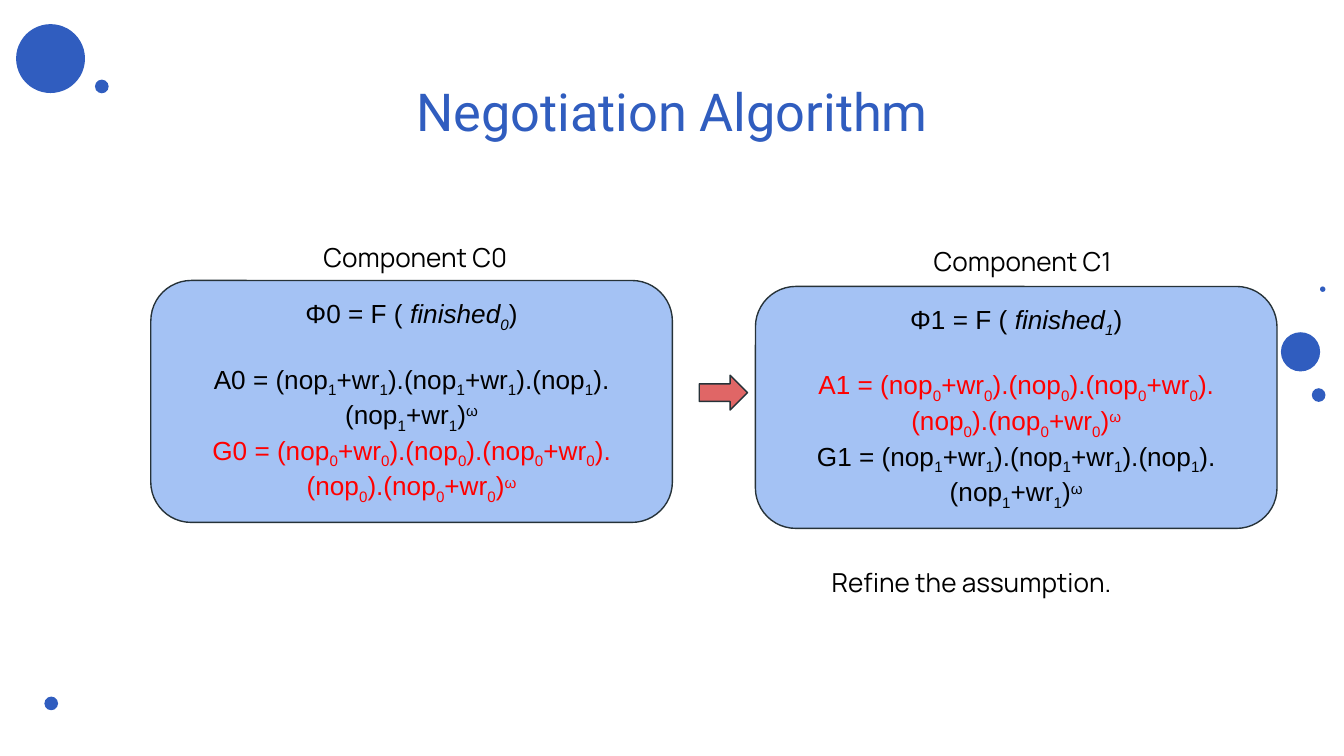
from pptx import Presentation
from pptx.dml.color import RGBColor
from pptx.enum.shapes import MSO_SHAPE
from pptx.enum.text import MSO_ANCHOR, PP_ALIGN
from pptx.util import Pt

ELLIPSE = MSO_SHAPE.OVAL
CARD = MSO_SHAPE.ROUNDED_RECTANGLE
ARROW = MSO_SHAPE.RIGHT_ARROW
CENTER, LEFT = PP_ALIGN.CENTER, PP_ALIGN.LEFT
TOP, MIDDLE = MSO_ANCHOR.TOP, MSO_ANCHOR.MIDDLE

COLORS = {
    "blue": "305DBF",
    "card": "A4C2F4",
    "arrow": "E06666",
    "outline": "263238",
    "black": "000000",
    "red": "FF0000",
}
SHIFTS = {"_": "-25000", "^": "30000"}  # subscript and superscript marks

# Left, top and diameter of each decorative dot
DOTS = [
    (8.64, 12.96, 36.9),
    (50.9, 42.7, 7.3),
    (686.2, 178, 21),
    (702.8, 208, 7.3),
    (707.2, 153.5, 2.9),
    (23.8, 373.2, 7.3),
]

# What each component writes, with its own index as subscript
BEHAVIOURS = {
    0: "(nop_0+wr_0).(nop_0).(nop_0+wr_0).(nop_0).(nop_0+wr_0)^ω",
    1: "(nop_1+wr_1).(nop_1+wr_1).(nop_1).(nop_1+wr_1)^ω",
}


def color(name):
    return RGBColor.from_string(COLORS[name])


def add_shape(page, kind, left, top, width, height, fill, outline=None):
    shape = page.shapes.add_shape(kind, Pt(left), Pt(top), Pt(width), Pt(height))
    shape.shadow.inherit = False
    shape.fill.solid()
    shape.fill.fore_color.rgb = color(fill)
    if outline:
        shape.line.color.rgb = color(outline)
        shape.line.width = Pt(0.75)
    else:
        shape.line.fill.background()
    return shape


def set_frame(box, anchor):
    frame = box.text_frame
    frame.word_wrap = True
    frame.vertical_anchor = anchor
    frame.margin_left = frame.margin_right = Pt(7.2)
    frame.margin_top = frame.margin_bottom = Pt(7.2)
    return frame


def add_span(para, text, font="Arial", size=14, ink="black", italic=False, mark=None):
    span = para.add_run()
    span.text = text
    span.font.name = font
    span.font.size = Pt(size)
    span.font.italic = italic
    span.font.color.rgb = color(ink)
    if mark:
        span._r.get_or_add_rPr().set("baseline", SHIFTS[mark])


def add_formula(para, text, **style):
    """Write text in which _ lowers and ^ raises the next character."""
    plain, mark = "", None
    for char in text:
        if mark:
            add_span(para, char, mark=mark, **style)
            mark = None
        elif char in SHIFTS:
            add_span(para, plain, **style)
            plain, mark = "", char
        else:
            plain += char
    if plain:
        add_span(para, plain, **style)


def add_label(page, text, left, top, width, height, align=CENTER, **style):
    box = page.shapes.add_textbox(Pt(left), Pt(top), Pt(width), Pt(height))
    para = set_frame(box, TOP).paragraphs[0]
    para.alignment = align
    add_span(para, text, **style)


def add_component(page, index, left, top, red_part):
    card = add_shape(page, CARD, left, top, 279.4, 129.6, "card", "outline")
    card.adjustments[0] = 0.167
    frame = set_frame(card, MIDDLE)

    # Goal
    goal = frame.paragraphs[0]
    goal.alignment = CENTER
    goal.space_after = Pt(16)
    add_span(goal, f"Φ{index} = F ( ")
    add_formula(goal, f"finished_{index}", italic=True)
    add_span(goal, ")")

    # Assumption about the other component, then own guarantee
    for part, writer in (("A", 1 - index), ("G", index)):
        para = frame.add_paragraph()
        para.alignment = CENTER
        ink = "red" if part == red_part else "black"
        add_formula(para, f"{part}{index} = {BEHAVIOURS[writer]}", ink=ink)


def main():
    deck = Presentation()
    deck.slide_width, deck.slide_height = Pt(720), Pt(405)
    page = deck.slides.add_slide(deck.slide_layouts[6])

    # Decoration
    for left, top, size in DOTS:
        add_shape(page, ELLIPSE, left, top, size, size, "blue")

    # Title
    add_label(page, "Negotiation Algorithm", 54, 35.3, 612, 45.4,
              font="Roboto", size=28, ink="blue")

    # Components and the arrow between them
    add_component(page, 0, 80.8, 150.3, red_part="G")
    add_component(page, 1, 404.7, 153.5, red_part="A")
    add_label(page, "Component C0", 108, 122.4, 229, 31.7, font="Manrope")
    add_label(page, "Component C1", 433.4, 124.4, 229, 31.7, font="Manrope")
    add_shape(page, ARROW, 374.6, 201, 25.9, 18.7, "arrow", "outline")

    # Conclusion
    add_label(page, "Refine the assumption.", 438.5, 296, 227.5, 31.7,
              align=LEFT, font="Manrope")

    deck.save("out.pptx")


if __name__ == "__main__":
    main()
